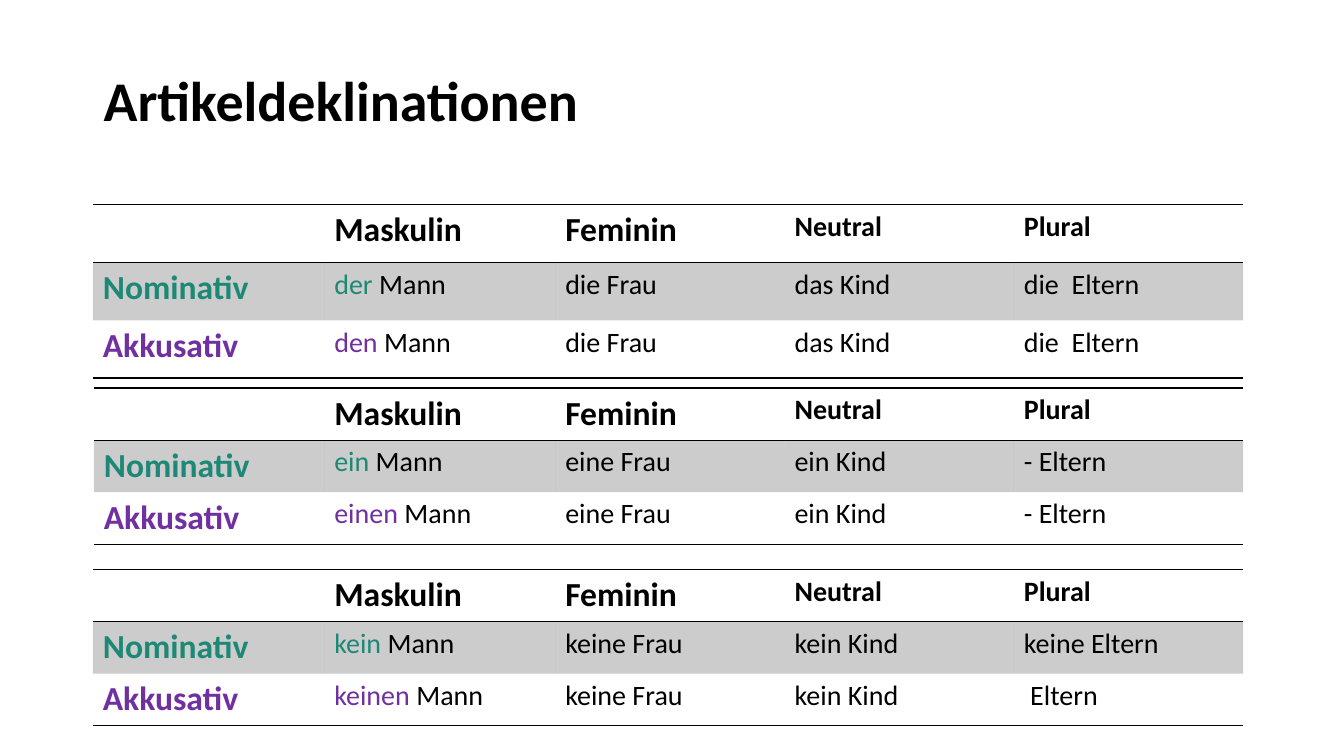
from dataclasses import dataclass

from lxml import etree
from pptx import Presentation
from pptx import util as u
from pptx.dml.color import RGBColor
from pptx.enum import text
from pptx.oxml import ns


@dataclass(frozen=True)
class Theme:
    font: str = "Calibri"
    black: str = "000000"
    nominative: str = "1D8876"
    accusative: str = "7030A0"
    band_alpha: int = 20
    rule: float = 1
    title: float = 40
    label: float = 24
    body: float = 20


@dataclass(frozen=True)
class Case:
    name: str
    color: str
    article: str
    others: tuple[str, str, str]


@dataclass(frozen=True)
class Declension:
    left: float
    top: float
    row_height: float
    cases: tuple[Case, Case]


THEME = Theme()
RIGHT = 888
MASCULINE_WIDTH, OTHER_WIDTH = 165, 163.8
HEADERS = (
    ("Maskulin", THEME.label),
    ("Feminin", THEME.label),
    ("Neutral", THEME.body),
    ("Plural", THEME.body),
)


def declension(left: float, top: float, row_height: float,
               nominative: tuple, accusative: tuple) -> Declension:
    return Declension(left, top, row_height, (
        Case("Nominativ", THEME.nominative, nominative[0], nominative[1:]),
        Case("Akkusativ", THEME.accusative, accusative[0], accusative[1:]),
    ))


DECLENSIONS = (
    declension(66.3, 146.2, 41.3,
               ("der", "die Frau", "das Kind", "die  Eltern"),
               ("den", "die Frau", "das Kind", "die  Eltern")),
    declension(67, 277.2, 37.2,
               ("ein", "eine Frau", "ein Kind", "- Eltern"),
               ("einen", "eine Frau", "ein Kind", "- Eltern")),
    declension(66.3, 406.8, 37.2,
               ("kein", "keine Frau", "kein Kind", "keine Eltern"),
               ("keinen", "keine Frau", "kein Kind", " Eltern")),
)


def add_text(p, content: str, *, size: float = THEME.body,
             color: str = THEME.black, bold: bool = False) -> None:
    r = p.add_run()
    r.text = content
    r.font.name = THEME.font
    r.font.size = u.Pt(size)
    r.font.bold = bold
    r.font.color.rgb = RGBColor.from_string(color)


def style_cell(cell, ruled: str, shaded: bool) -> None:
    """Rule the sides named in ruled (of L, R, T, B) and set the band fill."""
    tc_pr = cell._tc.get_or_add_tcPr()
    for side in "LRTB":
        ln = etree.SubElement(tc_pr, ns.qn(f"a:ln{side}"))
        if side in ruled:
            ln.set("w", str(u.Pt(THEME.rule)))
            fill = etree.SubElement(ln, ns.qn("a:solidFill"))
            etree.SubElement(fill, ns.qn("a:srgbClr"), val=THEME.black)
        else:
            ln.set("w", "0")
            etree.SubElement(ln, ns.qn("a:noFill"))
    if shaded:
        cell.fill.solid()
        cell.fill.fore_color.rgb = RGBColor.from_string(THEME.black)
        color = tc_pr.find(f"{ns.qn('a:solidFill')}/{ns.qn('a:srgbClr')}")
        etree.SubElement(color, ns.qn("a:alpha"), val=str(THEME.band_alpha * 1000))
    else:
        cell.fill.background()


def add_title(s, content: str) -> None:
    sp = s.shapes.add_textbox(u.Pt(67), u.Pt(21.6), u.Pt(828), u.Pt(104.4))
    tf = sp.text_frame
    tf.word_wrap = True
    tf.vertical_anchor = text.MSO_ANCHOR.MIDDLE
    p = tf.paragraphs[0]
    p.line_spacing = 0.9
    add_text(p, content, size=THEME.title, bold=True)


def add_declension(s, d: Declension) -> None:
    frame = s.shapes.add_table(3, 5, u.Pt(d.left), u.Pt(d.top),
                               u.Pt(RIGHT - d.left), u.Pt(3 * d.row_height))
    table = frame.table
    table.first_row = table.horz_banding = False
    label_width = RIGHT - d.left - MASCULINE_WIDTH - 3 * OTHER_WIDTH
    widths = (label_width, MASCULINE_WIDTH) + (OTHER_WIDTH,) * 3
    for column, width in zip(table.columns, widths):
        column.width = u.Pt(width)
    for i, (row, ruled) in enumerate(zip(table.rows, ("TB", "T", "B"))):
        row.height = u.Pt(d.row_height)
        for cell in row.cells:
            style_cell(cell, ruled, shaded=i == 1)

    def paragraph(row: int, column: int):
        return table.cell(row, column).text_frame.paragraphs[0]

    for j, (header, size) in enumerate(HEADERS, 1):
        add_text(paragraph(0, j), header, size=size, bold=True)
    for i, case in enumerate(d.cases, 1):
        add_text(paragraph(i, 0), case.name, size=THEME.label,
                 color=case.color, bold=True)
        add_text(paragraph(i, 1), case.article, color=case.color)
        add_text(paragraph(i, 1), " Mann")
        for j, phrase in enumerate(case.others, 2):
            add_text(paragraph(i, j), phrase)


def main() -> None:
    prs = Presentation()
    prs.slide_width, prs.slide_height = u.Pt(960), u.Pt(540)
    s = prs.slides.add_slide(prs.slide_layouts[6])
    add_title(s, "Artikeldeklinationen")
    for d in DECLENSIONS:
        add_declension(s, d)
    prs.save("out.pptx")


if __name__ == "__main__":
    main()
